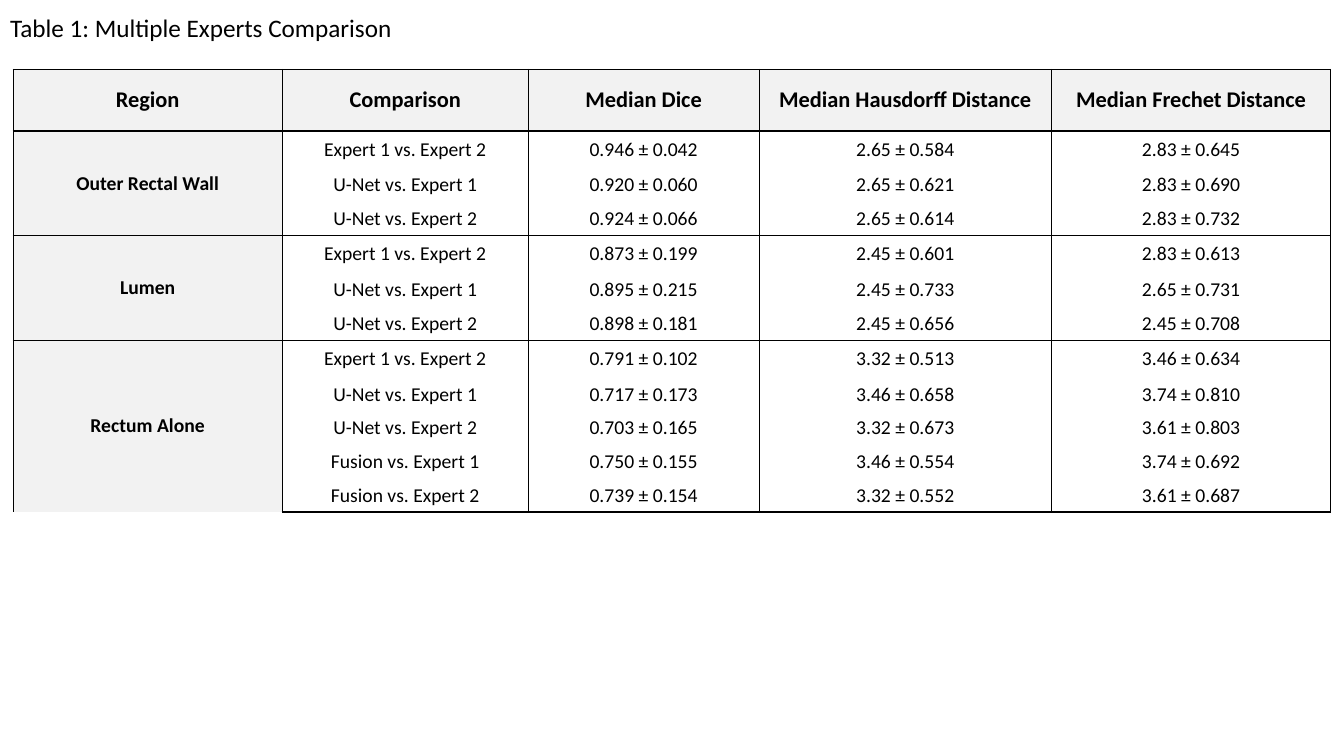
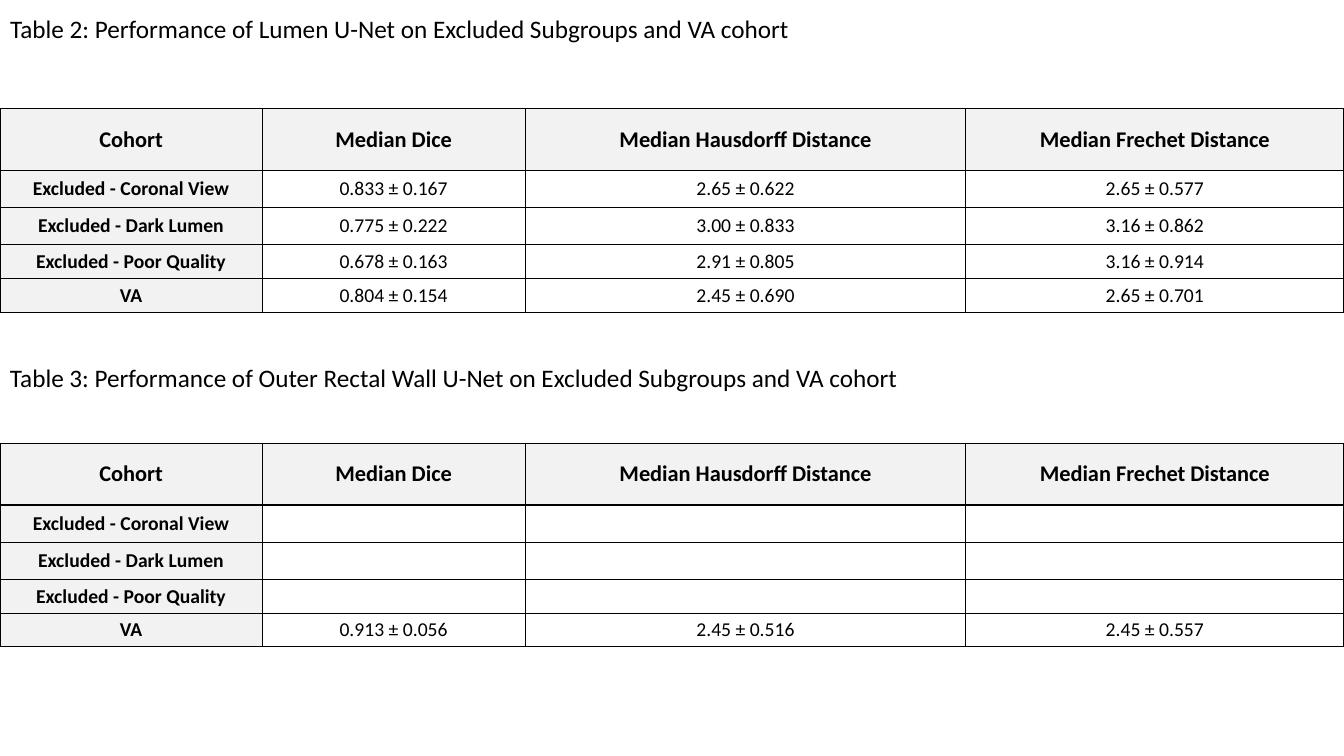
from lxml.etree import SubElement
from pptx import Presentation
from pptx.dml.color import RGBColor
from pptx.enum.text import MSO_ANCHOR as Anchor, MSO_AUTO_SIZE as Fit, PP_ALIGN as Align
from pptx.oxml.ns import qn
from pptx.util import Inches, Pt

COLORS = {"ink": "000000", "head": "F2F2F2"}
FONT = "Calibri"
HEAD, TALL, LOW = 0.61, 0.37, 0.33
SCORES = ["Median Dice", "Median Hausdorff Distance", "Median Frechet Distance"]

EXPERTS = {
    "Outer Rectal Wall": [
        ["Expert 1 vs. Expert 2", "0.946 ± 0.042", "2.65 ± 0.584", "2.83 ± 0.645"],
        ["U-Net vs. Expert 1", "0.920 ± 0.060", "2.65 ± 0.621", "2.83 ± 0.690"],
        ["U-Net vs. Expert 2", "0.924 ± 0.066", "2.65 ± 0.614", "2.83 ± 0.732"],
    ],
    "Lumen": [
        ["Expert 1 vs. Expert 2", "0.873 ± 0.199", "2.45 ± 0.601", "2.83 ± 0.613"],
        ["U-Net vs. Expert 1", "0.895 ± 0.215", "2.45 ± 0.733", "2.65 ± 0.731"],
        ["U-Net vs. Expert 2", "0.898 ± 0.181", "2.45 ± 0.656", "2.45 ± 0.708"],
    ],
    "Rectum Alone": [
        ["Expert 1 vs. Expert 2", "0.791 ± 0.102", "3.32 ± 0.513", "3.46 ± 0.634"],
        ["U-Net vs. Expert 1", "0.717 ± 0.173", "3.46 ± 0.658", "3.74 ± 0.810"],
        ["U-Net vs. Expert 2", "0.703 ± 0.165", "3.32 ± 0.673", "3.61 ± 0.803"],
        ["Fusion vs. Expert 1", "0.750 ± 0.155", "3.46 ± 0.554", "3.74 ± 0.692"],
        ["Fusion vs. Expert 2", "0.739 ± 0.154", "3.32 ± 0.552", "3.61 ± 0.687"],
    ],
}
COHORTS = ["Excluded - Coronal View", "Excluded - Dark Lumen", "Excluded - Poor Quality", "VA"]
LUMEN = [
    ["0.833 ± 0.167", "2.65 ± 0.622", "2.65 ± 0.577"],
    ["0.775 ± 0.222", "3.00 ± 0.833", "3.16 ± 0.862"],
    ["0.678 ± 0.163", "2.91 ± 0.805", "3.16 ± 0.914"],
    ["0.804 ± 0.154", "2.45 ± 0.690", "2.65 ± 0.701"],
]
WALL = [[""] * 3] * 3 + [["0.913 ± 0.056", "2.45 ± 0.516", "2.45 ± 0.557"]]


class Deck:
    def __init__(self):
        self.prs = Presentation()
        self.prs.slide_width, self.prs.slide_height = Inches(13.33), Inches(7.5)

    def add(self):
        self.slide = self.prs.slides.add_slide(self.prs.slide_layouts[5])

    def style(self, para, size, bold=False, align=Align.LEFT):
        para.alignment = align
        font = para.font
        font.name, font.size, font.bold = FONT, Pt(size), bold
        font.color.rgb = RGBColor.from_string(COLORS["ink"])

    def label(self, box, text, top, width):
        box.left, box.top = Inches(0), Inches(top)
        box.width, box.height = Inches(width), Inches(0.4)
        frame = box.text_frame
        frame.text = text
        frame.word_wrap, frame.auto_size = False, Fit.SHAPE_TO_FIT_TEXT
        frame.vertical_anchor = Anchor.TOP
        self.style(frame.paragraphs[0], 18)

    def title(self, text, top, width):
        self.label(self.slide.shapes.title, text, top, width)

    def caption(self, text, top, width):
        self.label(self.slide.shapes.add_textbox(0, 0, 0, 0), text, top, width)

    def edge(self, cell, sides):
        """Rule the named sides of a cell and clear the others."""
        props = cell._tc.get_or_add_tcPr()
        for side in "LRTB":
            line = SubElement(props, qn(f"a:ln{side}"), w=str(Pt(1)))
            if side in sides:
                fill = SubElement(line, qn("a:solidFill"))
                SubElement(fill, qn("a:srgbClr"), val=COLORS["ink"])
            else:
                SubElement(line, qn("a:noFill"))

    def cell(self, cell, text, size, head, sides):
        cell.text = text
        cell.vertical_anchor = Anchor.MIDDLE
        self.style(cell.text_frame.paragraphs[0], size, head, Align.CENTER)
        self.edge(cell, sides)
        if head:
            cell.fill.solid()
            cell.fill.fore_color.rgb = RGBColor.from_string(COLORS["head"])
        else:
            cell.fill.background()

    def table(self, left, top, cols, tall, rows, groups):
        """Draw rows under a header; groups lists the row count of each ruled block."""
        highs = [HEAD] + [TALL if i in tall else LOW for i in range(1, len(rows))]
        frame = self.slide.shapes.add_table(
            len(rows), len(cols), Inches(left), Inches(top), Inches(sum(cols)), Inches(sum(highs)))
        table = frame.table
        table.first_row = table.horz_banding = False
        for col, wide in zip(table.columns, cols):
            col.width = Inches(wide)
        for row, high in zip(table.rows, highs):
            row.height = Inches(high)
        start = 0
        for count in [1] + groups:
            last = start + count - 1
            for r in range(start, last + 1):
                sides = "LR" + "T" * (r == start) + "B" * (r == last)
                for c, text in enumerate(rows[r]):
                    self.cell(table.cell(r, c), text, 14 if r else 16, r == 0 or c == 0, sides)
            if count > 1:
                table.cell(start, 0).merge(table.cell(last, 0))
            start += count


def main():
    deck = Deck()
    deck.add()
    rows = [["Region", "Comparison"] + SCORES]
    groups, tall = [], []
    for region, block in EXPERTS.items():
        tall.append(len(rows))
        groups.append(len(block))
        rows += [["" if i else region] + line for i, line in enumerate(block)]
    deck.table(0.13, 0.69, [2.67, 2.44, 2.29, 2.9, 2.77], tall, rows, groups)
    deck.title("Table 1: Multiple Experts Comparison", 0.07, 4.03)

    deck.add()
    deck.title("Table 2: Performance of Lumen U-Net on Excluded Subgroups and VA cohort", 0.08, 8.44)
    deck.caption("Table 3: Performance of Outer Rectal Wall U-Net on Excluded Subgroups and VA cohort", 3.55, 9.62)
    for top, data in [(1.08, LUMEN), (4.4, WALL)]:
        rows = [["Cohort"] + SCORES] + [[name] + line for name, line in zip(COHORTS, data)]
        deck.table(0, top, [2.6, 2.61, 4.37, 3.75], [1, 2], rows, [1] * len(data))
    deck.prs.save("out.pptx")


if __name__ == "__main__":
    main()
